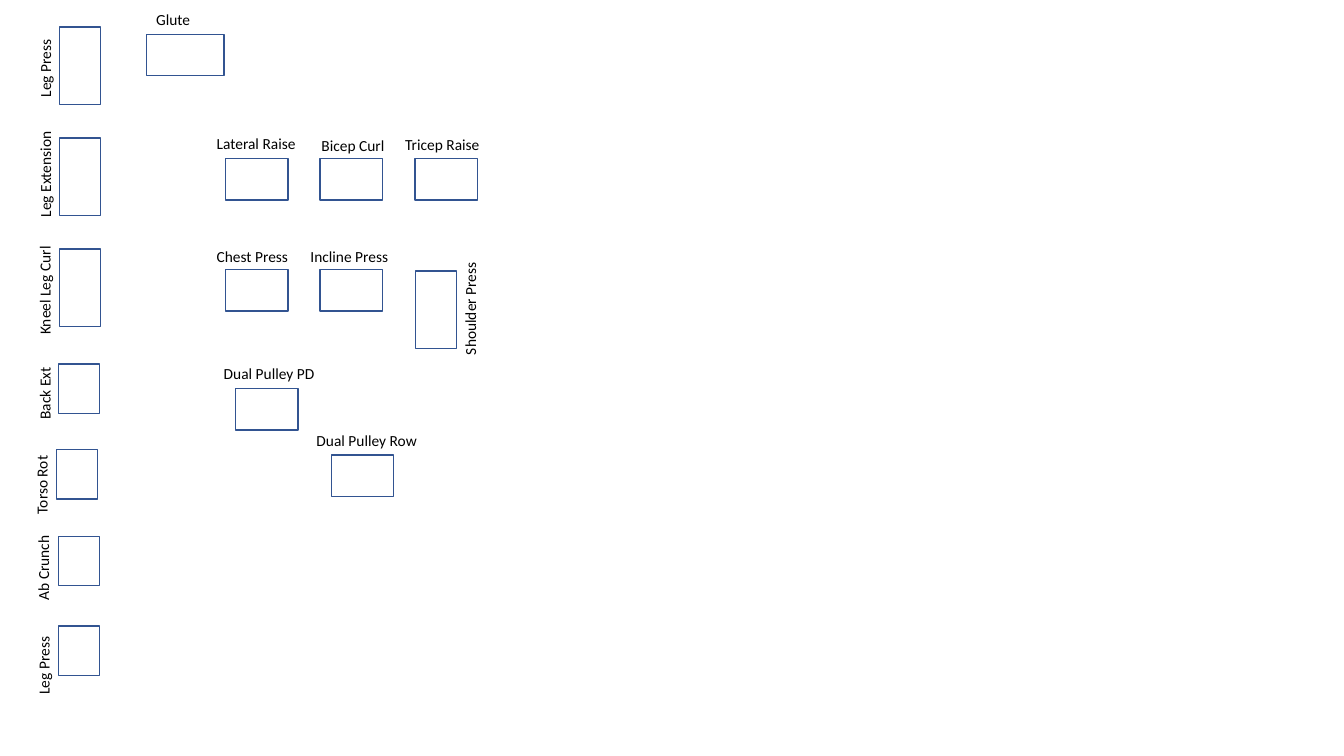
"""Draw a gym floor plan of labelled exercise machines."""
from pptx import Presentation
from pptx import util as u
from pptx.dml.color import RGBColor
from pptx.enum import shapes, text


def colour(hex_code):
    return RGBColor.from_string(hex_code)


class FloorPlan:
    font = "Calibri"
    font_size = 11
    ink = "000000"
    outline = "325491"
    depth = 0.41
    label_height = 0.29

    def __init__(self, slide):
        self.slide = slide

    def machine(self, left, top, length, rotation=0):
        station = self.slide.shapes.add_shape(
            shapes.MSO_SHAPE.RECTANGLE, u.Inches(left), u.Inches(top),
            u.Inches(self.depth), u.Inches(length))
        station.rotation = rotation
        station.shadow.inherit = False
        station.fill.background()
        station.line.color.rgb = colour(self.outline)
        station.line.width = u.Pt(1)

    def label(self, name, left, top, width, rotation=0, wrap=False):
        caption = self.slide.shapes.add_textbox(
            u.Inches(left), u.Inches(top), u.Inches(width), u.Inches(self.label_height))
        caption.rotation = rotation
        frame = caption.text_frame
        frame.word_wrap = wrap
        frame.auto_size = text.MSO_AUTO_SIZE.SHAPE_TO_FIT_TEXT
        paragraph = frame.paragraphs[0]
        paragraph.text = name
        paragraph.font.name = self.font
        paragraph.font.size = u.Pt(self.font_size)
        paragraph.font.color.rgb = colour(self.ink)


LONG, MEDIUM, SHORT = 0.77, 0.62, 0.49
SIDEWAYS, UPWARD = 90, 270

WALL_MACHINES = [
    ("Leg Press", (0.59, 0.27, LONG), (0.06, 0.53, 0.78), False),
    ("Leg Extension", (0.59, 1.37, LONG), (-0.08, 1.58, 1.06), False),
    ("Kneel Leg Curl", (0.59, 2.47, LONG), (-0.1, 2.73, 1.09), False),
    ("Back Ext", (0.58, 3.61, SHORT), (0.04, 3.71, 0.81), True),
    ("Torso Rot", (0.56, 4.46, SHORT), (0.01, 4.65, 0.81), True),
    ("Ab Crunch", (0.58, 5.32, SHORT), (0, 5.48, 0.86), True),
    ("Leg Press", (0.58, 6.21, SHORT), (0.03, 6.44, 0.81), True),
    ("Shoulder Press", (4.12, 2.69, LONG), (4.1, 2.91, 1.13), False),
]

FLOOR_MACHINES = [
    ("Glute", (1.63, 0.16, LONG), (1.45, 0.05, 0.54)),
    ("Lateral Raise", (2.34, 1.47, MEDIUM), (2.05, 1.28, 1)),
    ("Bicep Curl", (3.28, 1.47, MEDIUM), (3.09, 1.3, 0.83)),
    ("Tricep Raise", (4.22, 1.47, MEDIUM), (3.92, 1.29, 0.95)),
    ("Chest Press", (2.34, 2.57, MEDIUM), (2.05, 2.4, 0.92)),
    ("Incline Press", (3.28, 2.57, MEDIUM), (2.98, 2.4, 0.98)),
    ("Dual Pulley PD", (2.44, 3.75, MEDIUM), (2.12, 3.56, 1.11)),
    ("Dual Pulley Row", (3.39, 4.41, MEDIUM), (3.04, 4.23, 1.21)),
]


def main():
    deck = Presentation()
    deck.slide_width = u.Inches(13.33)
    deck.slide_height = u.Inches(7.5)
    plan = FloorPlan(deck.slides.add_slide(deck.slide_layouts[6]))
    for name, station, caption, wrap in WALL_MACHINES:
        plan.machine(*station)
        plan.label(name, *caption, rotation=UPWARD, wrap=wrap)
    for name, station, caption in FLOOR_MACHINES:
        plan.machine(*station, rotation=SIDEWAYS)
        plan.label(name, *caption)
    deck.save("out.pptx")


if __name__ == "__main__":
    main()
